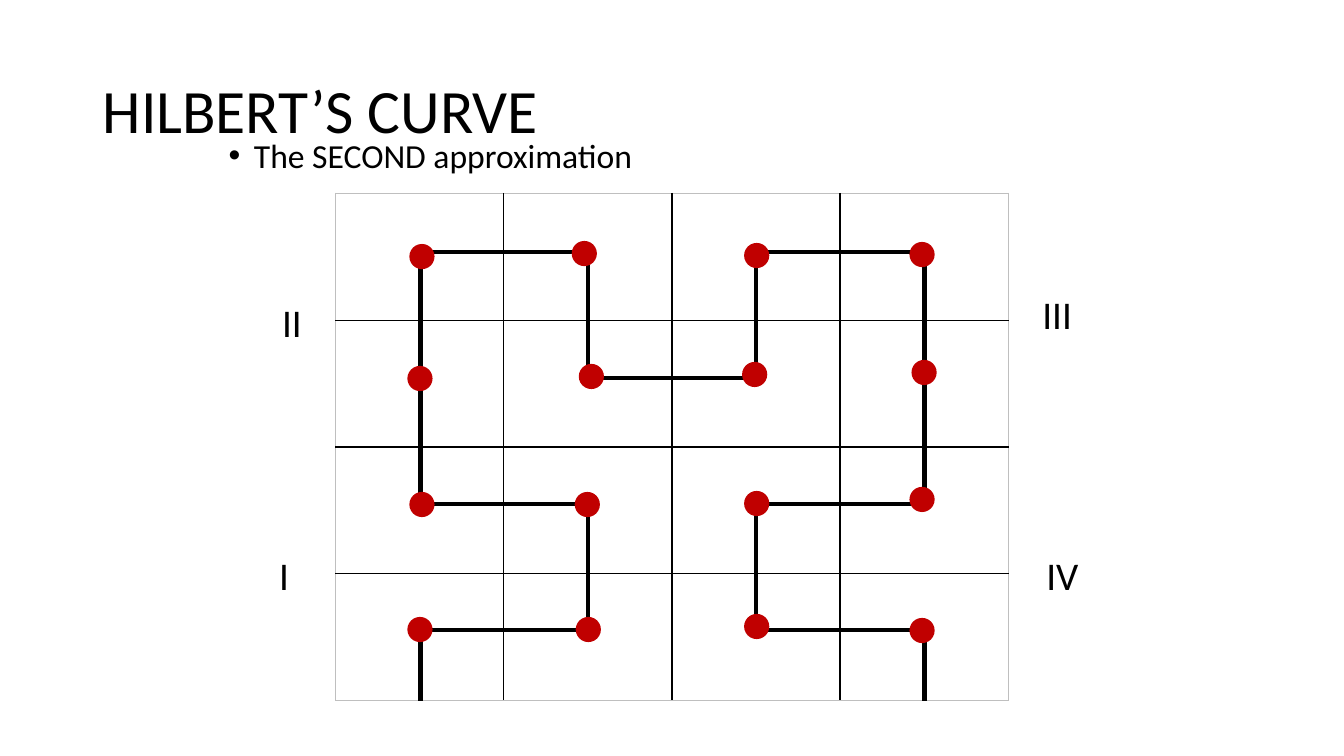
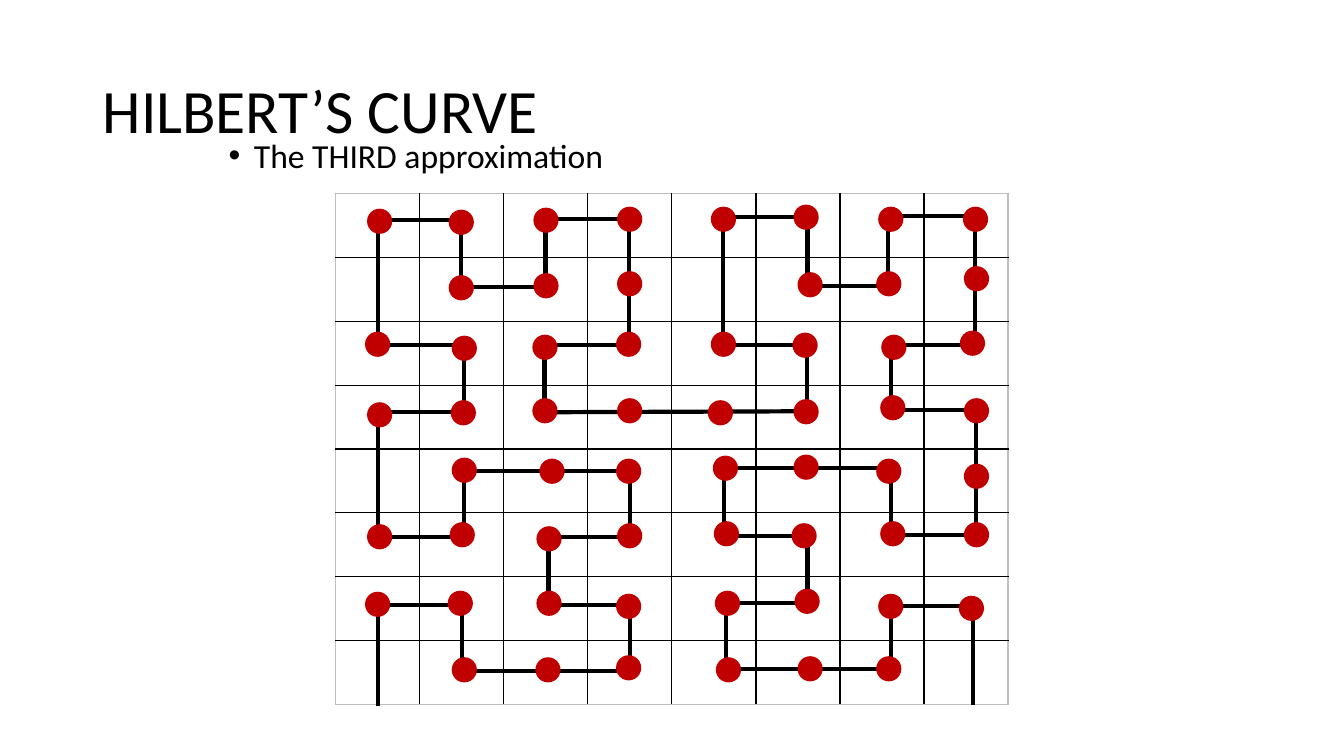
from dataclasses import dataclass
from itertools import pairwise

from lxml.etree import SubElement
from pptx import Presentation
from pptx.dml.color import RGBColor
from pptx.enum.shapes import MSO_CONNECTOR, MSO_SHAPE
from pptx.enum.text import MSO_ANCHOR, MSO_AUTO_SIZE, PP_ALIGN
from pptx.oxml.ns import qn
from pptx.util import Inches, Pt


@dataclass(frozen=True)
class Theme:
    font: str = "Calibri"
    ink: str = "000000"
    frame: str = "BFBFBF"
    dot: str = "C00000"
    title_size: int = 44
    body_size: int = 24
    label_size: int = 28
    grid_width: int = 1
    curve_width: int = 3
    dot_size: float = 0.25


THEME = Theme()
TITLE = "HILBERT’S CURVE"
GRID_LEFT, GRID_TOP, GRID_WIDTH = 3.33, 1.92, 6.67

# Second approximation: corners of the curve, then dots (left, top)
SECOND_CURVE = [
    (4.17, 6.95), (4.17, 6.25), (5.83, 6.25), (5.83, 5), (4.17, 5),
    (4.17, 2.5), (5.83, 2.5), (5.83, 3.75), (7.5, 3.75), (7.5, 2.5),
    (9.17, 2.5), (9.17, 5), (7.5, 5), (7.5, 6.25), (9.17, 6.25), (9.17, 6.95),
]
SECOND_DOTS = [
    (4.04, 6.12), (5.71, 6.12), (5.7, 4.88), (4.06, 4.88),
    (4.04, 3.63), (4.06, 2.42), (5.67, 2.39), (5.74, 3.61),
    (7.36, 3.59), (7.38, 2.41), (9.02, 2.4), (9.04, 3.57),
    (9.02, 4.83), (7.38, 4.87), (7.38, 6.09), (9.02, 6.13),
]
QUADRANTS = [
    ("I", 2.67, 5.42, 0.3), ("II", 2.7, 2.91, 0.4),
    ("III", 10.24, 2.83, 0.5), ("IV", 10.28, 5.42, 0.52),
]

# Third approximation, one quadrant after another
THIRD_CURVE = [
    (3.75, 7), (3.75, 6), (4.58, 6), (4.58, 6.66), (6.25, 6.66), (6.25, 6),
    (5.44, 6), (5.44, 5.33), (6.25, 5.33), (6.25, 4.67), (4.6, 4.67),
    (4.6, 5.33), (3.75, 5.33),
    (3.75, 4.09), (4.6, 4.09), (4.6, 3.42), (3.75, 3.42), (3.75, 2.18),
    (4.57, 2.18), (4.57, 2.85), (5.41, 2.85), (5.41, 2.17), (6.24, 2.17),
    (6.24, 3.42), (5.4, 3.42), (5.4, 4.09),
    (8, 4.08), (8, 3.42), (7.17, 3.42), (7.17, 2.15), (8.01, 2.15),
    (8.01, 2.84), (8.81, 2.84), (8.81, 2.14), (9.67, 2.14), (9.67, 3.42),
    (8.84, 3.42), (8.84, 4.07), (9.68, 4.07),
    (9.68, 5.31), (8.84, 5.31), (8.84, 4.64), (7.18, 4.64), (7.18, 5.32),
    (8.01, 5.32), (8.01, 5.98), (7.2, 5.98), (7.2, 6.64), (8.84, 6.64),
    (8.84, 6.01), (9.65, 6.01), (9.65, 6.99),
]
THIRD_DOTS = [
    (3.62, 5.87), (4.44, 5.86), (4.48, 6.52), (5.31, 6.52), (6.11, 6.5),
    (6.11, 5.89), (5.32, 5.86), (5.32, 5.22), (6.12, 5.19), (6.11, 4.55),
    (5.35, 4.55), (4.48, 4.54), (4.46, 5.18), (3.64, 5.2),
    (3.64, 3.99), (4.47, 3.97), (4.48, 3.33), (3.62, 3.29), (3.64, 2.07),
    (4.45, 2.08), (4.45, 2.73), (5.29, 2.71), (5.29, 2.06), (6.12, 2.05),
    (6.12, 2.69), (6.11, 3.29), (5.28, 3.32), (5.28, 3.95), (6.12, 3.95),
    (7.02, 3.97), (7.87, 3.96), (7.86, 3.3), (7.05, 3.29), (7.05, 2.05),
    (7.87, 2.03), (7.91, 2.7), (8.69, 2.69), (8.71, 2.05), (9.55, 2.05),
    (9.56, 2.64), (9.52, 3.28), (8.74, 3.32), (8.73, 3.92), (9.56, 3.95),
    (9.56, 4.6), (9.56, 5.18), (8.73, 5.17), (8.69, 4.55), (7.87, 4.51),
    (7.07, 4.52), (7.08, 5.17), (7.85, 5.19), (7.88, 5.84), (7.09, 5.86),
    (7.1, 6.52), (7.91, 6.51), (8.69, 6.51), (8.71, 5.89), (9.51, 5.91),
]


def add_text(slide, text, left, top, width, height, size):
    """Add a text box and return its text frame."""
    sp = slide.shapes.add_textbox(*map(Inches, (left, top, width, height)))
    tf = sp.text_frame
    tf.text = text
    tf.word_wrap = True
    font = tf.paragraphs[0].runs[0].font
    font.name, font.size = THEME.font, Pt(size)
    font.color.rgb = RGBColor.from_string(THEME.ink)
    return tf


def add_heading(slide, subtitle):
    tf = add_text(slide, TITLE, 0.92, 0.4, 11.5, 1.45, THEME.title_size)
    tf.vertical_anchor = MSO_ANCHOR.MIDDLE
    tf.paragraphs[0].line_spacing = 0.9

    # Bulleted subtitle
    p = add_text(slide, subtitle, 2.17, 1.33, 9, 5.67, THEME.body_size).paragraphs[0]
    pPr = p._p.get_or_add_pPr()
    pPr.set("marL", str(Inches(0.25)))
    pPr.set("indent", str(Inches(-0.25)))
    SubElement(pPr, qn("a:buFont"), typeface="Arial")
    SubElement(pPr, qn("a:buChar"), char="•")
    p.alignment = PP_ALIGN.JUSTIFY
    p.line_spacing = 0.9


def add_label(slide, text, left, top, width):
    tf = add_text(slide, text, left, top, width, 0.57, THEME.label_size)
    tf.word_wrap = False
    tf.auto_size = MSO_AUTO_SIZE.SHAPE_TO_FIT_TEXT


def set_border(cell, side, color):
    ln = SubElement(cell._tc.get_or_add_tcPr(), qn(f"a:ln{side}"),
                    w=str(Pt(THEME.grid_width)))
    SubElement(SubElement(ln, qn("a:solidFill")), qn("a:srgbClr"), val=color)


def add_grid(slide, n, height):
    """Add an n by n table with a pale frame and dark inner rules."""
    box = map(Inches, (GRID_LEFT, GRID_TOP, GRID_WIDTH, height))
    table = slide.shapes.add_table(n, n, *box).table
    table.first_row = table.horz_banding = False
    for i in range(n):
        for j in range(n):
            cell = table.cell(i, j)
            outer = {"L": j == 0, "R": j == n - 1, "T": i == 0, "B": i == n - 1}
            for side, on_frame in outer.items():
                set_border(cell, side, THEME.frame if on_frame else THEME.ink)
            cell.fill.background()


def add_segment(slide, start, end):
    line = slide.shapes.add_connector(MSO_CONNECTOR.STRAIGHT,
                                      *map(Inches, (*start, *end)))
    line.line.color.rgb = RGBColor.from_string(THEME.ink)
    line.line.width = Pt(THEME.curve_width)
    SubElement(line._element.spPr, qn("a:effectLst"))


def add_dot(slide, left, top):
    size = THEME.dot_size
    sp = slide.shapes.add_shape(MSO_SHAPE.OVAL, *map(Inches, (left, top, size, size)))
    sp.shadow.inherit = False
    sp.fill.solid()
    sp.fill.fore_color.rgb = RGBColor.from_string(THEME.dot)
    sp.line.fill.background()


def add_curve_slide(prs, subtitle, n, grid_height, corners, dots, labels=()):
    slide = prs.slides.add_slide(prs.slide_layouts[6])
    add_heading(slide, subtitle)
    add_grid(slide, n, grid_height)
    for label in labels:
        add_label(slide, *label)
    # Curve first, so that the dots lie on top
    for start, end in pairwise(corners):
        add_segment(slide, start, end)
    for dot in dots:
        add_dot(slide, *dot)


def main():
    prs = Presentation()
    prs.slide_width, prs.slide_height = Inches(13.33), Inches(7.5)
    add_curve_slide(prs, "The SECOND approximation", 4, 5.03,
                    SECOND_CURVE, SECOND_DOTS, QUADRANTS)
    add_curve_slide(prs, "The THIRD approximation", 8, 5.07,
                    THIRD_CURVE, THIRD_DOTS)
    prs.save("out.pptx")


if __name__ == "__main__":
    main()
